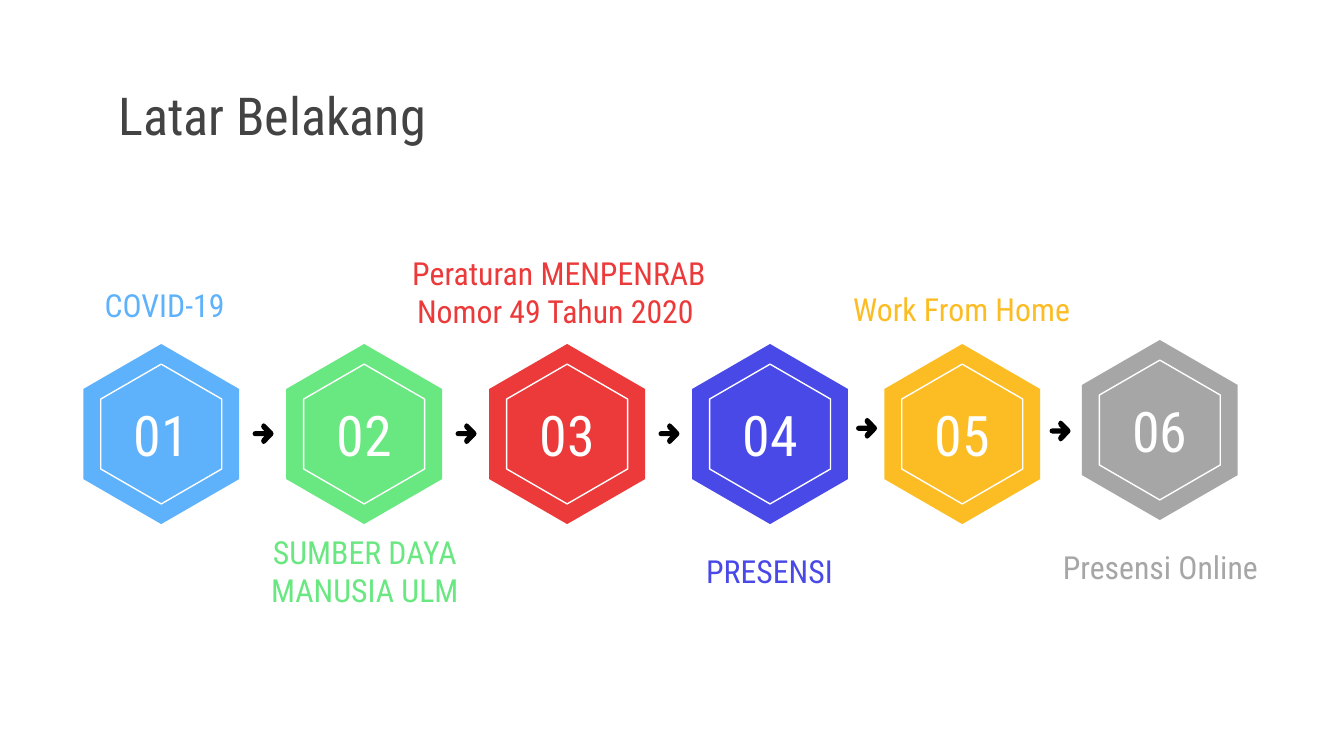
import pptx
import pptx.dml.color
import pptx.enum.text
import pptx.util
from pptx.util import Inches

FONT = "Roboto Condensed"
WHITE, BLACK, TITLE_GREY = "FFFFFF", "000000", "434343"

TITLE = "Latar Belakang"
# label, colour, hexagon left and top, label left, top and width
STEPS = [
    ("COVID-19", "5EB2FC", (0.62, 2.56), (0.27, 1.95, 1.91)),
    ("SUMBER DAYA MANUSIA ULM", "69E781", (2.13, 2.56), (1.76, 3.93, 1.91)),
    ("Peraturan MENPENRAB\nNomor 49 Tahun 2020 ", "EC3A3B", (3.64, 2.56), (2.95, 1.86, 2.42)),
    ("PRESENSI", "4949E7", (5.15, 2.56), (4.47, 3.93, 2.51)),
    ("Work From Home", "FCBD24", (6.58, 2.56), (6.2, 1.98, 1.91)),
    ("Presensi Online", "A6A6A6", (8.05, 2.53), (7.68, 3.9, 1.91)),
]
ARROWS = [(1.88, 3.15), (3.39, 3.15), (4.9, 3.15), (6.37, 3.11), (7.81, 3.13)]

HEX_W, HEX_H = 1.16, 1.34
RING_W, RING_H = 0.9, 1.04
LABEL_H = 0.63

# Upper half of the arrow in hundredths of an inch, from tail to tip
ARROW_MIDDLE = 7.7
ARROW_TOP = [(0, 7.7), (0.5, 6.4), (1.9, 5.8), (8.8, 5.8), (7, 4), (6.4, 2.3),
             (7, 0.7), (8.2, 0), (9.5, 0.6), (15, 6.2), (15.6, 7.7)]
ARROW_BOTTOM = [(x, 2 * ARROW_MIDDLE - y) for x, y in ARROW_TOP[-2:0:-1]]
ARROW_OUTLINE = [(x / 100, y / 100) for x, y in ARROW_TOP + ARROW_BOTTOM]


def rgb(colour):
    return pptx.dml.color.RGBColor.from_string(colour)


def add_outline(shapes, left, top, points, fill=None, line=None):
    """Draw a closed outline whose points are inches from left and top."""
    corners = [(Inches(left + x), Inches(top + y)) for x, y in points]
    builder = shapes.build_freeform(*corners[0])
    builder.add_line_segments(corners[1:], close=True)
    outline = builder.convert_to_shape()
    outline.shadow.inherit = False
    if fill:
        outline.fill.solid()
        outline.fill.fore_color.rgb = rgb(fill)
    else:
        outline.fill.background()
    if line:
        outline.line.color.rgb = rgb(line)
        outline.line.width = pptx.util.Pt(0.75)
    else:
        outline.line.fill.background()
    return outline


def hexagon(width, height):
    return [(width / 2, 0), (width, height / 4), (width, height * 3 / 4),
            (width / 2, height), (0, height * 3 / 4), (0, height / 4)]


def write(shape, text, size, colour, align=pptx.enum.text.PP_ALIGN.CENTER):
    frame = shape.text_frame
    frame.text = text
    frame.word_wrap = True
    frame.auto_size = pptx.enum.text.MSO_AUTO_SIZE.NONE
    frame.vertical_anchor = pptx.enum.text.MSO_ANCHOR.MIDDLE
    frame.margin_left = frame.margin_right = Inches(0.1)
    frame.margin_top = frame.margin_bottom = Inches(0.1)
    for paragraph in frame.paragraphs:
        paragraph.alignment = align
        for run in paragraph.runs:
            run.font.name = FONT
            run.font.size = pptx.util.Pt(size)
            run.font.color.rgb = rgb(colour)


def add_step(slide, number, label, colour, hex_at, label_at):
    shapes = slide.shapes.add_group_shape().shapes
    left, top = hex_at
    badge = add_outline(shapes, left, top, hexagon(HEX_W, HEX_H), fill=colour)
    write(badge, f"{number:02d}", 30, WHITE)
    label_left, label_top, label_width = label_at
    caption = shapes.add_textbox(Inches(label_left), Inches(label_top),
                                 Inches(label_width), Inches(LABEL_H))
    write(caption, label, 17, colour)
    add_outline(shapes, left + (HEX_W - RING_W) / 2, top + (HEX_H - RING_H) / 2,
                hexagon(RING_W, RING_H), line=WHITE)


def main():
    deck = pptx.Presentation()
    deck.slide_width = Inches(10)
    deck.slide_height = deck.slide_width * 9 // 16
    slide = deck.slides.add_slide(deck.slide_layouts.get_by_name("Title Only"))

    title = slide.shapes.title
    title.left, title.top = Inches(0.78), Inches(0.59)
    title.width, title.height = Inches(8.45), Inches(0.53)
    write(title, TITLE, 28, TITLE_GREY, pptx.enum.text.PP_ALIGN.LEFT)

    for number, step in enumerate(STEPS, start=1):
        add_step(slide, number, *step)
    for left, top in ARROWS:
        add_outline(slide.shapes, left, top, ARROW_OUTLINE, fill=BLACK)

    deck.save("out.pptx")


if __name__ == "__main__":
    main()
